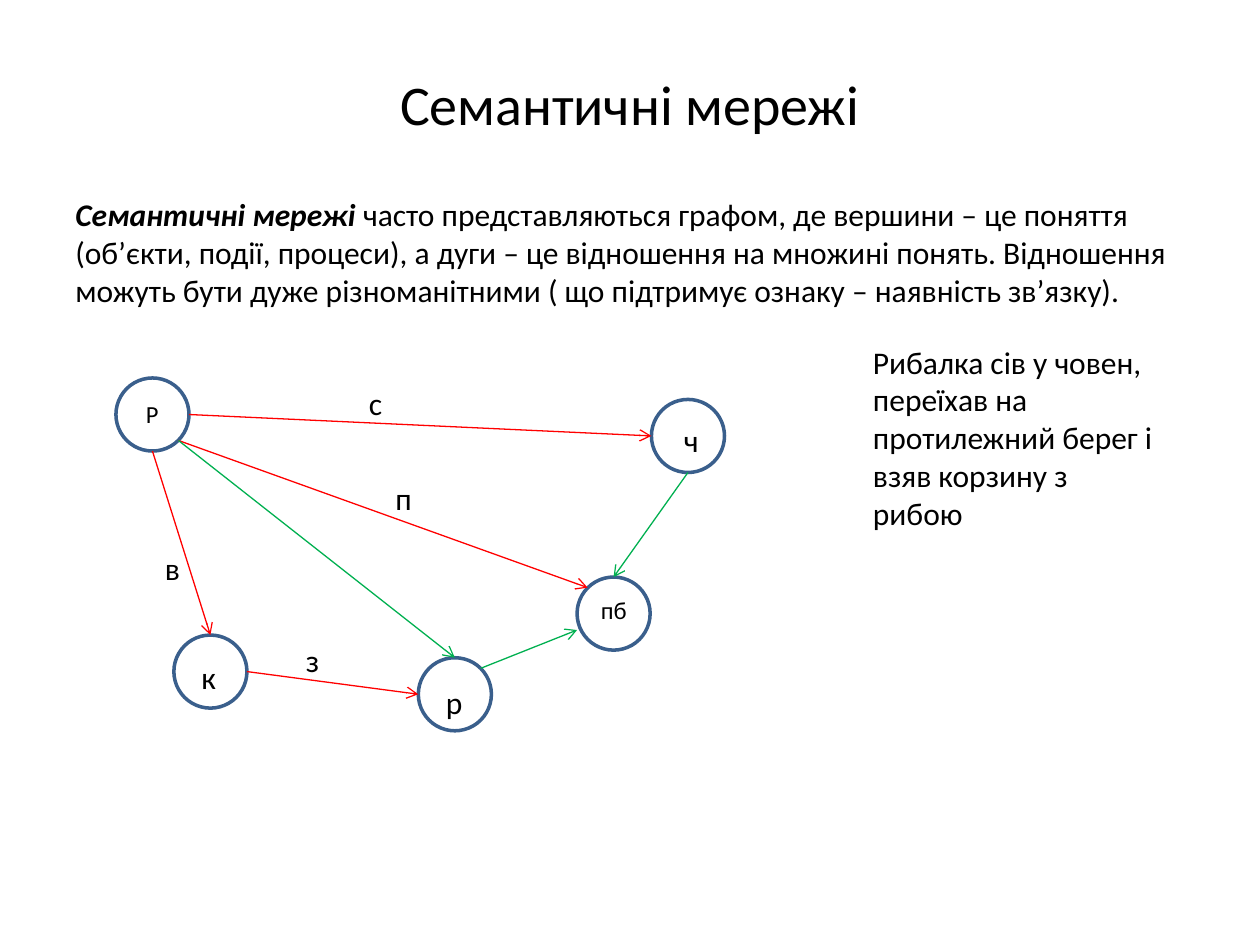
from typing import NamedTuple

from lxml.etree import SubElement
from pptx import Presentation
from pptx.dml.color import RGBColor
from pptx.enum.shapes import MSO_CONNECTOR as CONN, MSO_SHAPE as SHAPE
from pptx.enum.text import MSO_ANCHOR as ANCHOR, PP_ALIGN as ALIGN
from pptx.oxml.ns import qn
from pptx.util import Inches, Pt

FONT = "Calibri"
BLACK, WHITE, BLUE, RED, GREEN = "000000", "FFFFFF", "3A5F8C", "FF0000", "00B050"
RADIUS = 0.29
DIAG = 0.71

# Connection points on a circle, as offsets in radii
TOP, LEFT, BOTTOM, RIGHT = (0, -1), (-1, 0), (0, 1), (1, 0)
TOP_LEFT, TOP_RIGHT, BOTTOM_RIGHT = (-DIAG, -DIAG), (DIAG, -DIAG), (DIAG, DIAG)
LEFT_LOW = (-1, 0.45)


class Node(NamedTuple):
    x: float
    y: float

    def port(self, offset: tuple) -> tuple:
        return self.x + RADIUS * offset[0], self.y + RADIUS * offset[1]


class Arc(NamedTuple):
    start: str
    start_port: tuple
    end: str
    end_port: tuple
    color: str


class Label(NamedTuple):
    text: str
    x: float
    y: float
    w: float
    h: float = 0.4
    size: int = 18


NODES = {
    "fisherman": Node(1.21, 3.29),
    "boat": Node(5.46, 3.46),
    "bank": Node(4.87, 4.87),
    "basket": Node(1.67, 5.33),
    "fish": Node(3.61, 5.51),
}
ARCS = [
    Arc("fisherman", RIGHT, "boat", LEFT, RED),
    Arc("fisherman", BOTTOM_RIGHT, "bank", TOP_LEFT, RED),
    Arc("fisherman", BOTTOM, "basket", TOP, RED),
    Arc("basket", RIGHT, "fish", LEFT, RED),
    Arc("fisherman", BOTTOM_RIGHT, "fish", TOP, GREEN),
    Arc("boat", BOTTOM, "bank", TOP, GREEN),
    Arc("fish", TOP_RIGHT, "bank", LEFT_LOW, GREEN),
]
LABELS = [
    Label("ч", 5.33, 3.29, 0.25),
    Label("пб", 4.67, 4.67, 0.42, 0.34, 14),
    Label("к", 1.5, 5.17, 0.33),
    Label("р", 3.44, 5.37, 0.3),
    Label("с", 2.83, 3, 0.33),
    Label("п", 3.04, 3.75, 0.4),
    Label("в", 1.21, 4.31, 0.23),
    Label("з", 2.33, 5.04, 0.31),
]


def rgb(color: str) -> RGBColor:
    return RGBColor.from_string(color)


def add_text(text: str, x: float, y: float, w: float, h: float, *, size=18,
             lead="", align=ALIGN.LEFT, anchor=ANCHOR.TOP, fill=None):
    """Add a text box; lead is an optional bold italic opening."""
    s = slide.shapes.add_textbox(Inches(x), Inches(y), Inches(w), Inches(h))
    if fill:
        s.fill.solid()
        s.fill.fore_color.rgb = rgb(fill)
    tf = s.text_frame
    tf.word_wrap = True
    tf.vertical_anchor = anchor
    p = tf.paragraphs[0]
    p.alignment = align
    for part, strong in ((lead, True), (text, False)):
        if part:
            r = p.add_run()
            r.text = part
            r.font.name, r.font.size = FONT, Pt(size)
            r.font.bold = r.font.italic = strong
            r.font.color.rgb = rgb(BLACK)


def add_node(node: Node) -> None:
    s = slide.shapes.add_shape(
        SHAPE.OVAL, Inches(node.x - RADIUS), Inches(node.y - RADIUS),
        Inches(2 * RADIUS), Inches(2 * RADIUS))
    s.shadow.inherit = False
    s.fill.solid()
    s.fill.fore_color.rgb = rgb(WHITE)
    s.line.color.rgb = rgb(BLUE)
    s.line.width = Pt(2)


def add_arc(arc: Arc) -> None:
    start = NODES[arc.start].port(arc.start_port)
    end = NODES[arc.end].port(arc.end_port)
    s = slide.shapes.add_connector(CONN.STRAIGHT, *map(Inches, start + end))
    s.line.color.rgb = rgb(arc.color)
    s.line.width = Pt(0.75)
    SubElement(s.line._get_or_add_ln(), qn("a:tailEnd"), type="arrow")
    SubElement(s._element.spPr, qn("a:effectLst"))


prs = Presentation()
prs.slide_width, prs.slide_height = Inches(10), Inches(7.5)
slide = prs.slides.add_slide(prs.slide_layouts[6])

# Title and definition
add_text("Семантичні мережі", 0.5, 0.3, 9, 1.03, size=32,
         align=ALIGN.CENTER, anchor=ANCHOR.MIDDLE)
add_text(" часто представляються графом, де вершини – це поняття (об’єкти, події, "
         "процеси), а дуги – це відношення на множині понять. Відношення можуть бути "
         "дуже різноманітними ( що підтримує ознаку – наявність зв’язку).",
         0.5, 1.5, 9, 1.01, lead="Семантичні мережі")

# Graph
for node in NODES.values():
    add_node(node)
add_text("Р", 1.06, 3.12, 0.32, 0.34, size=14, fill=WHITE)
for arc in ARCS:
    add_arc(arc)
for label in LABELS:
    add_text(label.text, label.x, label.y, label.w, label.h, size=label.size)

# Example sentence
add_text("Рибалка сів у човен, переїхав на протилежний берег і взяв корзину з рибою",
         6.83, 2.67, 2.42, 1.62)

prs.save("out.pptx")
